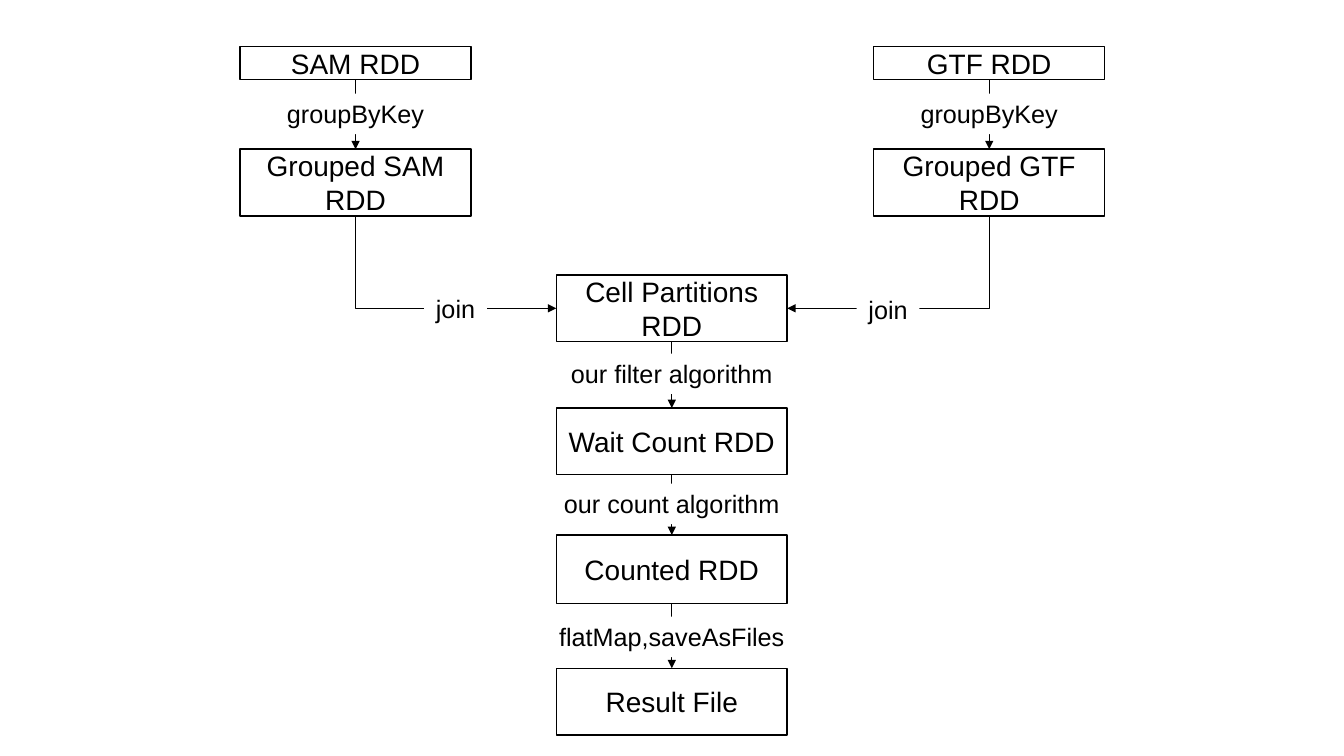
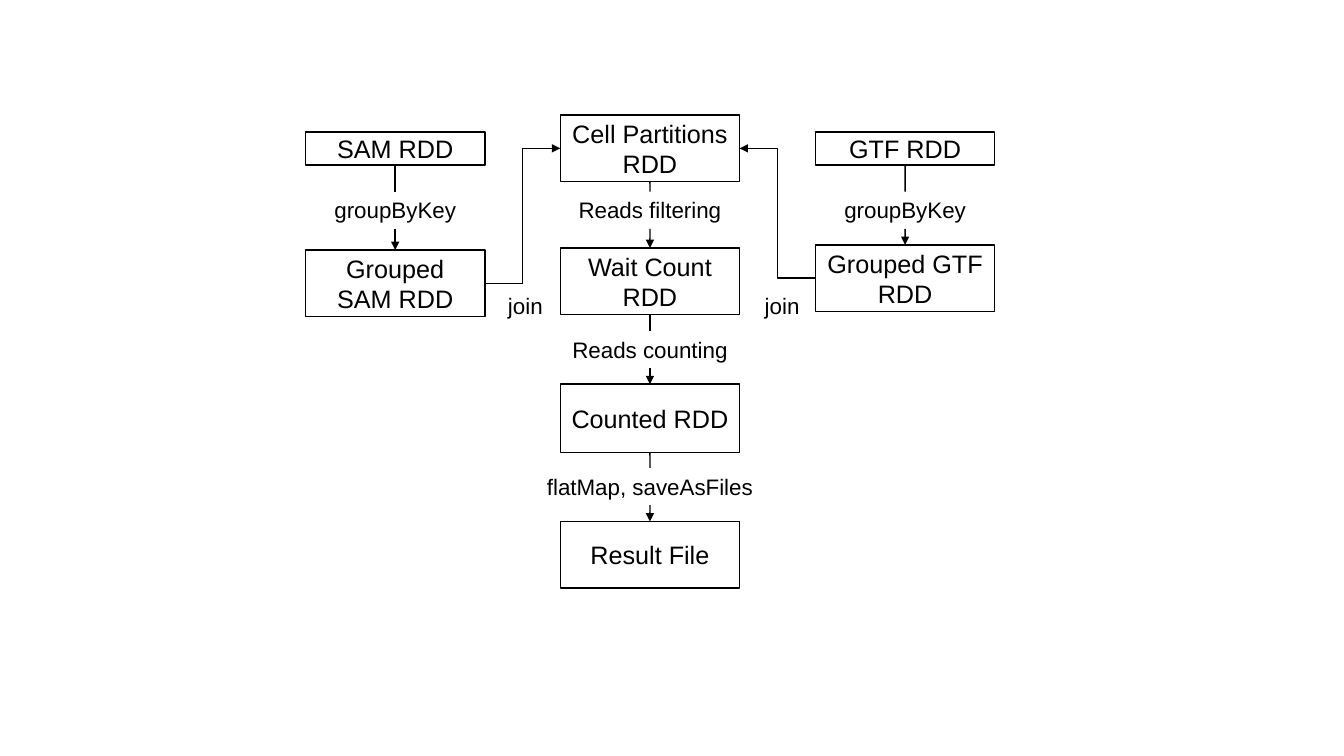
from dataclasses import dataclass
from itertools import pairwise

from lxml import etree
from pptx import Presentation
from pptx.dml.color import RGBColor
from pptx.enum.shapes import MSO_CONNECTOR as CONN, MSO_SHAPE as SHAPE
from pptx.enum.text import MSO_ANCHOR as ANCHOR, MSO_AUTO_SIZE as FIT, PP_ALIGN as ALIGN
from pptx.oxml.ns import qn
from pptx.util import Cm, Pt


@dataclass(frozen=True)
class Theme:
    """Colours, font and line shared by both flow charts, plus their type sizes."""
    node_size: int
    label_size: int
    label_height: float
    masks_line: bool  # a white label over one arrow, or a gap between two lines
    font: str = "Arial"
    ink: RGBColor = RGBColor(0, 0, 0)
    paper: RGBColor = RGBColor(255, 255, 255)
    line: float = 1


LARGE = Theme(node_size=20, label_size=18, label_height=1.02, masks_line=True)
SMALL = Theme(node_size=18, label_size=16, label_height=0.94, masks_line=False)

TOP, LEFT, BOTTOM, RIGHT = range(4)  # connection sites of a rectangle
ROW, TALL_ROW, THIN_ROW = 1.68, 1.73, 0.83


def write(sp, text, theme, size):
    """Put one centred run of text in a shape."""
    tf = sp.text_frame
    tf.word_wrap = True
    p = tf.paragraphs[0]
    p.alignment = ALIGN.CENTER
    r = p.add_run()
    r.text = text
    r.font.name = theme.font
    r.font.size = Pt(size)
    r.font.color.rgb = theme.ink


def add_node(s, theme, box, text):
    """Draw an outlined step."""
    sp = s.shapes.add_shape(SHAPE.RECTANGLE, *map(Cm, box))
    sp.shadow.inherit = False
    sp.fill.solid()
    sp.fill.fore_color.rgb = theme.paper
    sp.line.color.rgb = theme.ink
    sp.line.width = Pt(theme.line)
    sp.text_frame.vertical_anchor = ANCHOR.MIDDLE
    write(sp, text, theme, theme.node_size)
    return sp


def add_label(s, theme, x, y, width, text):
    """Name the operation on an arrow."""
    sp = s.shapes.add_textbox(*map(Cm, (x, y, width, theme.label_height)))
    if theme.masks_line:
        sp.fill.solid()
        sp.fill.fore_color.rgb = theme.paper
    write(sp, text, theme, theme.label_size)
    sp.text_frame.auto_size = FIT.SHAPE_TO_FIT_TEXT
    return sp


def connect(s, theme, start, end, kind=CONN.STRAIGHT, arrow="tailEnd", preset=None):
    """Join two (shape, site) pairs; arrow names the end that gets a head."""
    cx = s.shapes.add_connector(kind, 0, 0, 0, 0)
    cx.begin_connect(*start)
    cx.end_connect(*end)
    cx.line.color.rgb = theme.ink
    cx.line.width = Pt(theme.line)
    sp_pr = cx._element.spPr
    if arrow:
        etree.SubElement(sp_pr.find(qn("a:ln")), qn("a:" + arrow), type="triangle")
    if preset:
        sp_pr.find(qn("a:prstGeom")).set("prst", preset)
    etree.SubElement(sp_pr, qn("a:effectLst"))


def add_column(s, theme, box, steps, labels):
    """Stack steps (text, offset, height) with labels (text, offset, width) between."""
    x, y, width = box
    nodes = [add_node(s, theme, (x, y + dy, width, h), text) for text, dy, h in steps]
    for (upper, lower), (text, dy, w) in zip(pairwise(nodes), labels):
        if theme.masks_line:
            connect(s, theme, (upper, BOTTOM), (lower, TOP))
        label = add_label(s, theme, x + (width - w) / 2, y + dy, w, text)
        if not theme.masks_line:
            connect(s, theme, (upper, BOTTOM), (label, TOP), arrow=None)
            connect(s, theme, (label, BOTTOM), (lower, TOP))
    return nodes


def add_input(s, theme, box, name, grouped_dy, label_dy, label_width):
    """Draw the grouping of one input and return the grouped step."""
    steps = [(f"{name} RDD", 0, THIN_ROW), (f"Grouped {name} RDD", grouped_dy, ROW)]
    return add_column(s, theme, box, steps, [("groupByKey", label_dy, label_width)])[-1]


def add_pipeline(s, theme, box, offsets, labels):
    """Draw the central steps and return the first, where the inputs join."""
    names = ("Cell Partitions RDD", "Wait Count RDD", "Counted RDD", "Result File")
    heights = (ROW, ROW, TALL_ROW, ROW)
    return add_column(s, theme, box, list(zip(names, offsets, heights)), labels)[0]


def add_joins(s, theme, places):
    """Place the join labels."""
    for x, y in places:
        add_label(s, theme, x, y, 1.58, "join")


def build_descending_flow(s, theme):
    """Draw the inputs above the pipeline they join."""
    width, top = 5.82, 1.17
    sam = add_input(s, theme, (6.05, top, width), "SAM", 2.59, 1.19, 4.55)
    gtf = add_input(s, theme, (22.02, top, width), "GTF", 2.59, 1.19, 4.24)
    cells = add_pipeline(s, theme, (14.02, 6.93, width), (0, 3.35, 6.55, 9.91), [
        ("our filter algorithm", 1.98, 5.82),
        ("our count algorithm", 5.26, 6.38),
        ("flatMap,saveAsFiles", 8.61, 6.38),
    ])
    for grouped, side in ((sam, LEFT), (gtf, RIGHT)):
        connect(s, theme, (cells, side), (grouped, BOTTOM), CONN.ELBOW,
                arrow="headEnd", preset="bentConnector2")
    add_joins(s, theme, ((10.69, 7.26), (21.59, 7.29)))


def build_side_by_side_flow(s, theme):
    """Draw the inputs on either side of the pipeline."""
    width, top = 4.52, 3.33
    sam = add_input(s, theme, (7.7, top, width), "SAM", 2.97, 1.5, 3.66)
    gtf = add_input(s, theme, (20.55, top, width), "GTF", 2.84, 1.5, 3.89)
    cells = add_pipeline(s, theme, (14.12, 2.9, width), (0, 3.35, 6.78, 10.24), [
        ("Reads filtering", 1.93, 4.57),
        ("Reads counting", 5.44, 4.6),
        ("flatMap, saveAsFiles", 8.89, 6.38),
    ])
    for grouped, out, side in ((sam, RIGHT, LEFT), (gtf, LEFT, RIGHT)):
        connect(s, theme, (grouped, out), (cells, side), CONN.ELBOW)
    add_joins(s, theme, ((12.45, 7.24), (18.92, 7.24)))


def main():
    """Build both flow charts and save them."""
    prs = Presentation()
    prs.slide_width, prs.slide_height = Cm(33.87), Cm(19.05)
    blank = prs.slide_layouts[6]
    for build, theme in ((build_descending_flow, LARGE), (build_side_by_side_flow, SMALL)):
        build(prs.slides.add_slide(blank), theme)
    prs.save("out.pptx")


main()
